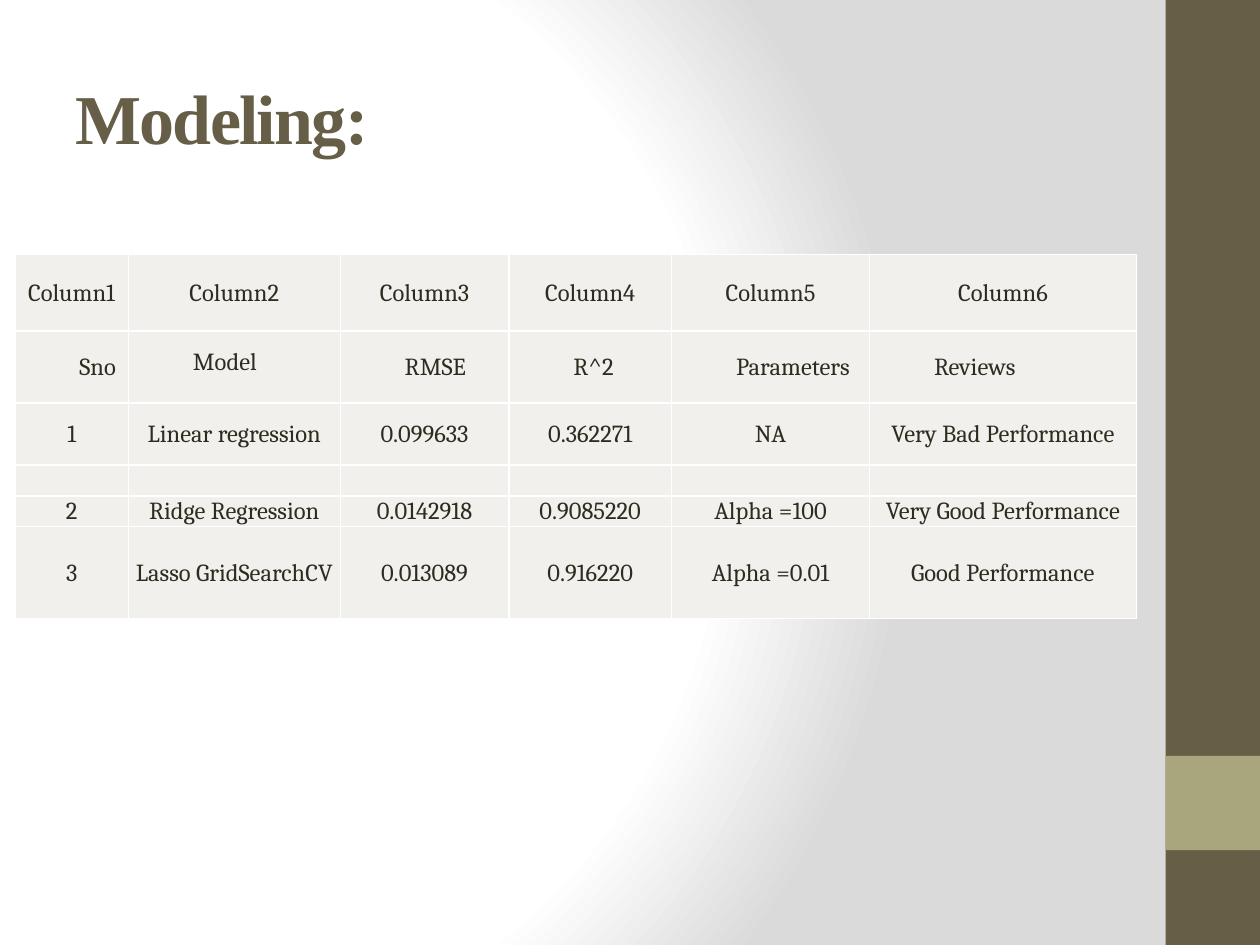
from lxml import etree
from pptx import Presentation, util as u
from pptx.dml.color import RGBColor
from pptx.enum import shapes, text
from pptx.oxml import parse_xml
from pptx.oxml.ns import qn

HUES = {"bar": "675E47", "box": "A9A57C", "ink": "2F2B20", "cell": "F1F0EC",
        "rule": "FFFFFF", "glow": "FFFFFF", "edge": "DADADA"}
COLS = [2.29, 4.27, 3.4, 3.28, 3.99, 5.38]
HIGH = [1.54, 1.45, 1.25, 0.61, 0.62, 1.85]
ROWS = [
    [f"Column{n}" for n in range(1, 7)],
    ["Sno", "Model", "RMSE", "R^2", "Parameters", "Reviews"],
    ["1", "Linear regression", "0.099633", "0.362271", "NA", "Very Bad Performance"],
    [""] * 6,
    ["2", "Ridge Regression", "0.0142918", "0.9085220", "Alpha =100",
     "Very Good Performance"],
    ["3", "Lasso GridSearchCV", "0.013089", "0.916220", "Alpha =0.01",
     "Good Performance"],
]
PAD = {"margin_left": u.Cm(0.03), "margin_right": u.Cm(0.03),
       "margin_top": u.Cm(0.03), "margin_bottom": 0,
       "vertical_anchor": text.MSO_ANCHOR.MIDDLE}
LOW = {"margin_bottom": u.Cm(0.53), "vertical_anchor": text.MSO_ANCHOR.BOTTOM}
BODY = {"size": u.Pt(14), "name": "Cambria"}
HEAD = {"size": u.Pt(40), "name": "Times New Roman", "bold": True}
NS = 'xmlns:a="http://schemas.openxmlformats.org/drawingml/2006/main"'


def apply(item, form):
    for key, val in form.items():
        setattr(item, key, val)


def tint(hue):
    return RGBColor.from_string(HUES[hue])


def paint(fill, hue):
    fill.solid()
    fill.fore_color.rgb = tint(hue)


def glow(slide):
    fill = slide.background.fill
    fill.gradient()
    old = slide.element.find(".//" + qn("a:gradFill"))
    stops = "".join(f'<a:gs pos="{pos}000"><a:srgbClr val="{HUES[hue]}"/></a:gs>'
                    for pos, hue in [(0, "glow"), (75, "glow"), (100, "edge")])
    new = parse_xml(
        f'<a:gradFill {NS} rotWithShape="1"><a:gsLst>{stops}</a:gsLst>'
        '<a:path path="circle"><a:fillToRect l="20000" t="50000" r="100000" '
        'b="50000"/></a:path></a:gradFill>')
    old.getparent().replace(old, new)


def block(slide, top, high, hue):
    box = slide.shapes.add_shape(shapes.MSO_SHAPE.RECTANGLE, u.Cm(23.5), u.Cm(top),
                                 u.Cm(1.9), u.Cm(high))
    box.shadow.inherit = False
    paint(box.fill, hue)
    box.line.fill.background()


def write(para, words, form, hue):
    run = para.add_run()
    run.text = words
    apply(run.font, form)
    run.font.color.rgb = tint(hue)
    return run


def title(slide, words):
    box = slide.shapes.add_textbox(u.Cm(1.27), u.Cm(0.76), u.Cm(21.16), u.Cm(3.18))
    frame = box.text_frame
    apply(frame, {"word_wrap": True, "vertical_anchor": text.MSO_ANCHOR.MIDDLE})
    run = write(frame.paragraphs[0], words, HEAD, "bar")
    run.font._element.set("spc", "-100")


def edges(cell):
    prop = cell._tc.get_or_add_tcPr()
    for side in "LRTB":
        prop.append(parse_xml(
            f'<a:ln{side} {NS} w="12700"><a:solidFill><a:srgbClr '
            f'val="{HUES["rule"]}"/></a:solidFill></a:ln{side}>'))


def entry(cell, words, inset):
    apply(cell, PAD)
    edges(cell)
    paint(cell.fill, "cell")
    para = cell.text_frame.paragraphs[0]
    if not words:
        etree.SubElement(para._p, qn("a:endParaRPr")).set("sz", "1400")
        return
    write(para, words, BODY, "ink")
    if inset:
        para.level = 1
        para._p.get_or_add_pPr().set("marL", str(u.Cm(1.27)))
        para._p.pPr.set("indent", "0")
    else:
        para.alignment = text.PP_ALIGN.CENTER


def grid(slide):
    table = slide.shapes.add_table(len(ROWS), len(COLS), u.Cm(0.3), u.Cm(5.13),
                                   u.Cm(sum(COLS)), u.Cm(sum(HIGH))).table
    apply(table, {"first_row": False, "horz_banding": False})
    for col, wide in zip(table.columns, COLS):
        col.width = u.Cm(wide)
    for num, (row, high) in enumerate(zip(table.rows, HIGH)):
        row.height = u.Cm(high)
        for cell, words in zip(row.cells, ROWS[num]):
            entry(cell, words, num == 1)
    model = table.cell(1, 1)
    apply(model, LOW)
    model.text_frame.paragraphs[0].line_spacing = 1.5


def main():
    """Build the modeling results slide."""
    deck = Presentation()
    apply(deck, {"slide_width": u.Cm(25.4), "slide_height": u.Cm(19.05)})
    slide = deck.slides.add_slide(deck.slide_layouts[6])
    glow(slide)
    block(slide, 0, 19.05, "bar")
    block(slide, 15.24, 1.9, "box")
    title(slide, "Modeling:")
    grid(slide)
    deck.save("out.pptx")


main()
